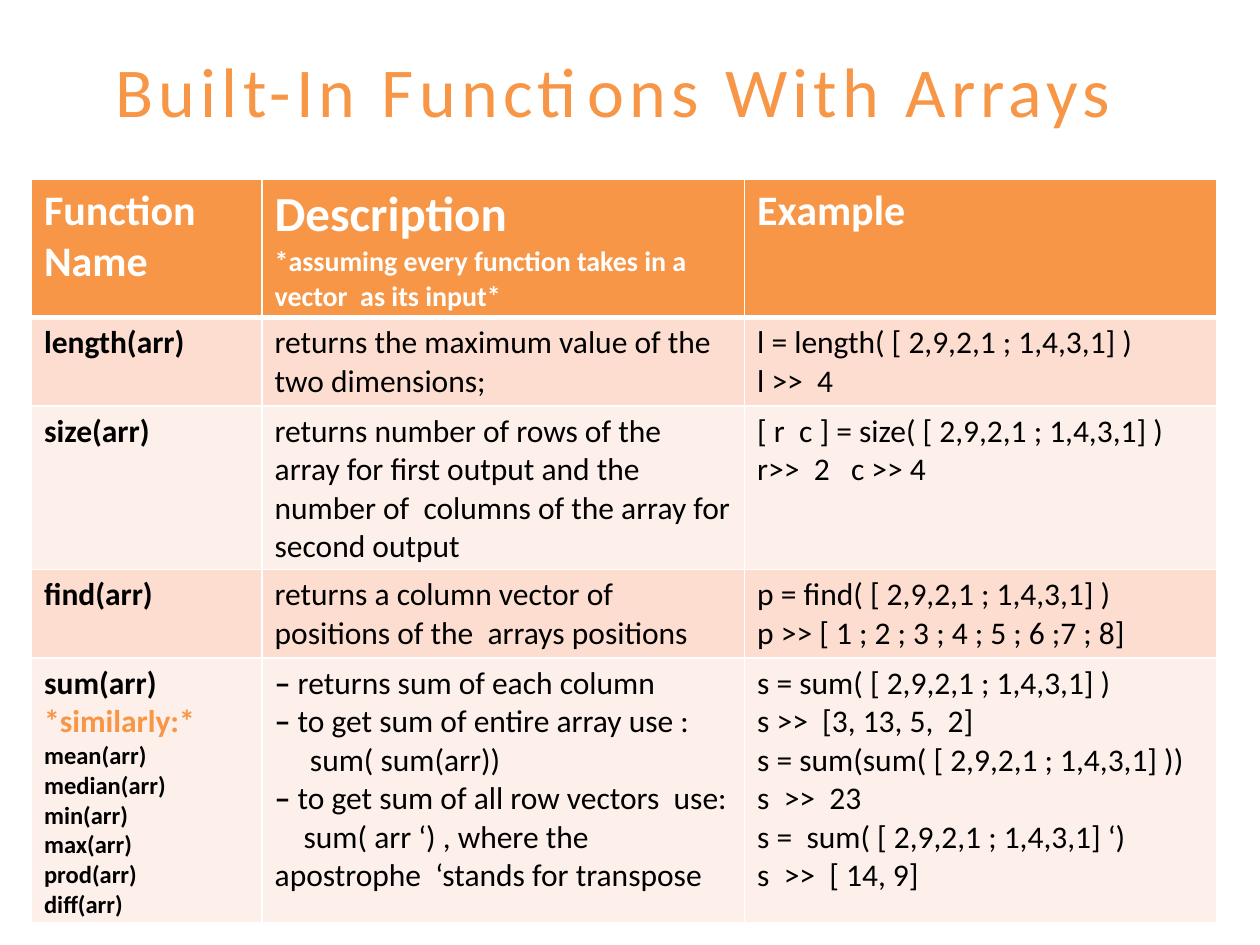
from lxml.etree import SubElement
from pptx import Presentation
from pptx.dml.color import RGBColor
from pptx.enum.text import MSO_ANCHOR, MSO_AUTO_SIZE, PP_ALIGN
from pptx.oxml.ns import qn
from pptx.util import Inches, Pt

FONT = "Calibri"
TITLE_ONLY = 5
ORANGE = RGBColor(0xF7, 0x96, 0x46)
PEACH = RGBColor(0xFC, 0xDD, 0xCF)
PALE = RGBColor(0xFD, 0xEF, 0xE9)
WHITE = RGBColor(0xFF, 0xFF, 0xFF)
BLACK = RGBColor(0, 0, 0)

COLUMN_WIDTHS = (1.83, 3.83, 3.75)
ROW_HEIGHTS = (1.09, 0.7, 1.3, 0.7, 2.1)
DASH = "‒ "


def line(text, size=18, color=BLACK, bold=False, indent=0.0):
    return {"text": text, "size": size, "color": color, "bold": bold, "indent": indent}


def header(text, size=24):
    return line(text, size, WHITE, True)


def name(text, size=18, color=BLACK):
    return line(text, size, color, True)


def lines(*texts):
    return [line(text) for text in texts]


SIMILAR = ("mean", "median", "min", "max", "prod", "diff")
ROWS = [
    [[header("Function Name")],
     [header("Description", 28),
      header("*assuming every function takes in a vector  as its input*", 16)],
     [header("Example")]],
    [[name("length(arr)")],
     lines("returns the maximum value of the two dimensions;"),
     lines("l = length( [ 2,9,2,1 ; 1,4,3,1] )", "l >>  4")],
    [[name("size(arr)")],
     lines("returns number of rows of the array for first output and the "
           "number of  columns of the array for second output"),
     lines("[ r  c ] = size( [ 2,9,2,1 ; 1,4,3,1] )", "r>>  2   c >> 4")],
    [[name("find(arr)")],
     lines("returns a column vector of positions of the  arrays positions"),
     lines("p = find( [ 2,9,2,1 ; 1,4,3,1] )",
           "p >> [ 1 ; 2 ; 3 ; 4 ; 5 ; 6 ;7 ; 8]")],
    [[name("sum(arr)"), name("*similarly:*", color=ORANGE)]
     + [name(f"{function}(arr)", 14) for function in SIMILAR],
     [line(DASH + "returns sum of each column"),
      line(DASH + "to get sum of entire array use :"),
      line("sum( sum(arr))", indent=0.28),
      line(DASH + "to get sum of all row vectors  use:"),
      line("sum( arr ‘) , where the\vapostrophe  ‘stands for transpose", indent=0.23)],
     lines("s = sum( [ 2,9,2,1 ; 1,4,3,1] )", "s >>  [3, 13, 5,  2]",
           "s = sum(sum( [ 2,9,2,1 ; 1,4,3,1] ))", "s  >>  23",
           "s =  sum( [ 2,9,2,1 ; 1,4,3,1] ‘)", "s  >>  [ 14, 9]")],
]


def add_title(slide, text, left, top, width, height):
    title = slide.shapes.title
    title.left, title.top = Inches(left), Inches(top)
    title.width, title.height = Inches(width), Inches(height)
    frame = title.text_frame
    frame.text = text
    frame.word_wrap = False
    frame.auto_size = MSO_AUTO_SIZE.SHAPE_TO_FIT_TEXT
    frame.vertical_anchor = MSO_ANCHOR.TOP
    paragraph = frame.paragraphs[0]
    paragraph.alignment = PP_ALIGN.CENTER
    run = paragraph.runs[0]
    run.font.name, run.font.size = FONT, Pt(40)
    run.font.color.rgb = ORANGE
    run.font._element.set("spc", "300")


def set_borders(cell, top, bottom):
    """Draw white borders; top and bottom are widths in points."""
    properties = cell._tc.get_or_add_tcPr()
    for side, width in (("L", 1), ("R", 1), ("T", top), ("B", bottom)):
        border = SubElement(properties, qn(f"a:ln{side}"), w=str(Pt(width)))
        fill = SubElement(border, qn("a:solidFill"))
        SubElement(fill, qn("a:srgbClr"), val=str(WHITE))


def write_line(paragraph, content):
    text = content["text"]
    if text.startswith(DASH):
        dash = paragraph.add_run()
        dash.text = DASH
        dash.font.bold = True
        rest = paragraph.add_run()
        rest.text = text[len(DASH):]
    else:
        paragraph.text = text
    font = paragraph.font
    font.name, font.size, font.bold = FONT, Pt(content["size"]), content["bold"]
    font.color.rgb = content["color"]
    if content["indent"]:
        paragraph._p.get_or_add_pPr().set("indent", str(Inches(content["indent"])))


def write_cell(cell, contents):
    frame = cell.text_frame
    for index, content in enumerate(contents):
        paragraph = frame.add_paragraph() if index else frame.paragraphs[0]
        write_line(paragraph, content)


def add_function_table(slide, left, top, width, height):
    table = slide.shapes.add_table(
        len(ROWS), len(COLUMN_WIDTHS),
        Inches(left), Inches(top), Inches(width), Inches(height)).table
    table.horz_banding = False
    for column, column_width in zip(table.columns, COLUMN_WIDTHS):
        column.width = Inches(column_width)
    for row, row_height in zip(table.rows, ROW_HEIGHTS):
        row.height = Inches(row_height)
    for row_index, row in enumerate(ROWS):
        color = ORANGE if row_index == 0 else (PALE, PEACH)[row_index % 2]
        for column_index, contents in enumerate(row):
            cell = table.cell(row_index, column_index)
            set_borders(cell, top=3 if row_index == 1 else 1,
                        bottom=3 if row_index == 0 else 1)
            cell.fill.solid()
            cell.fill.fore_color.rgb = color
            write_cell(cell, contents)


def main():
    presentation = Presentation()
    presentation.slide_width, presentation.slide_height = Inches(10), Inches(7.5)
    slide = presentation.slides.add_slide(presentation.slide_layouts[TITLE_ONLY])
    add_title(slide, "Built-In Functions With Arrays", 0.75, 0.33, 8.24, 0.77)
    add_function_table(slide, 0.25, 1.42, sum(COLUMN_WIDTHS), sum(ROW_HEIGHTS))
    presentation.save("out.pptx")


if __name__ == "__main__":
    main()
